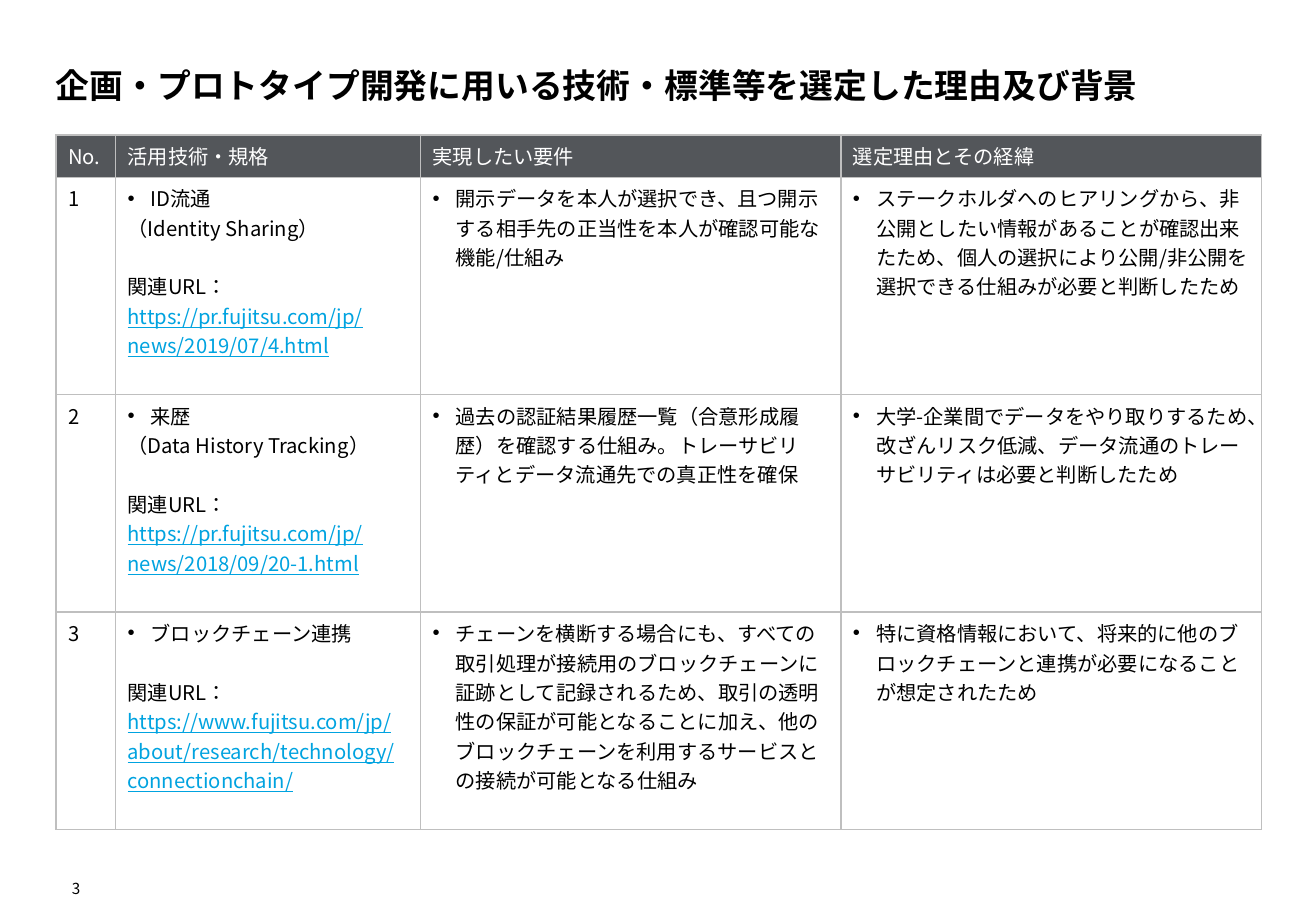
from dataclasses import dataclass
from typing import Any

from lxml.etree import SubElement
from pptx import Presentation
from pptx.dml.color import RGBColor
from pptx.enum.lang import MSO_LANGUAGE_ID
from pptx.enum.text import MSO_ANCHOR, PP_ALIGN
from pptx.oxml.ns import qn
from pptx.util import Inches, Pt

FONT = "Noto Sans CJK JP"
BLACK, WHITE, HEADER_FILL, BORDER, LINK = "000000", "FFFFFF", "53565A", "BFBFBF", "00A3E0"
LINE_PITCH = Pt(17.4)
BULLET_INDENT = Inches(0.19)
COLUMN_WEIGHTS = (49, 251, 346, 346)
ROW_WEIGHTS = (35, 179, 179, 179)


@dataclass(frozen=True)
class Area:
    """A region in percent of the slide's width and height."""
    left: float
    top: float
    width: float
    height: float


@dataclass(frozen=True)
class Line:
    text: str
    color: str = BLACK
    bullet: bool = False
    underline: bool = False
    gap: bool = False


@dataclass(frozen=True)
class Technology:
    name: str
    full_name: str
    url: str
    requirement: str
    reason: str


TITLE_AREA = Area(4.25, 2.67, 91.6, 8.93)
TABLE_AREA = Area(4.25, 14.8, 91.6, 76.27)
NUMBER_AREA = Area(4.25, 96, 1.85, 2.53)

HEADERS = ("No.", "活用技術・規格", "実現したい要件", "選定理由とその経緯")
TECHNOLOGIES = (
    Technology(
        "ID流通", "（Identity Sharing）",
        "https://pr.fujitsu.com/jp/news/2019/07/4.html",
        "開示データを本人が選択でき、且つ開示する相手先の正当性を本人が確認可能な機能/仕組み",
        "ステークホルダへのヒアリングから、非公開としたい情報があることが確認出来たため、"
        "個人の選択により公開/非公開を選択できる仕組みが必要と判断したため"),
    Technology(
        "来歴", "（Data History Tracking）",
        "https://pr.fujitsu.com/jp/news/2018/09/20-1.html",
        "過去の認証結果履歴一覧（合意形成履歴）を確認する仕組み。"
        "トレーサビリティとデータ流通先での真正性を確保",
        "大学-企業間でデータをやり取りするため、改ざんリスク低減、"
        "データ流通のトレーサビリティは必要と判断したため"),
    Technology(
        "ブロックチェーン連携", "",
        "https://www.fujitsu.com/jp/about/research/technology/connectionchain/",
        "チェーンを横断する場合にも、すべての取引処理が接続用のブロックチェーンに"
        "証跡として記録されるため、取引の透明性の保証が可能となることに加え、"
        "他のブロックチェーンを利用するサービスとの接続が可能となる仕組み",
        "特に資格情報において、将来的に他のブロックチェーンと連携が必要になることが想定されたため"),
)


def rgb(color: str) -> RGBColor:
    return RGBColor.from_string(color)


def apply_format(target: Any, values: dict[str, Any]) -> None:
    for name, value in values.items():
        setattr(target, name, value)


def place(presentation: Any, area: Area) -> tuple[int, int, int, int]:
    width, height = presentation.slide_width, presentation.slide_height
    return (round(width * area.left / 100), round(height * area.top / 100),
            round(width * area.width / 100), round(height * area.height / 100))


def add_bullet(paragraph: Any) -> None:
    properties = paragraph._p.get_or_add_pPr()
    properties.set("marL", str(BULLET_INDENT))
    properties.set("indent", str(-BULLET_INDENT))
    SubElement(properties, qn("a:buFont")).set("typeface", "Arial")
    SubElement(properties, qn("a:buChar")).set("char", "•")


def write_line(paragraph: Any, line: Line, size: float, bold: bool = False) -> None:
    if line.gap:
        paragraph.space_before = LINE_PITCH
    if line.bullet:
        add_bullet(paragraph)
    run = paragraph.add_run()
    run.text = line.text
    apply_format(run.font, {"name": FONT, "size": Pt(size), "bold": bold,
                            "underline": line.underline,
                            "language_id": MSO_LANGUAGE_ID.JAPANESE})
    run.font.color.rgb = rgb(line.color)
    SubElement(run._r.get_or_add_rPr(), qn("a:ea")).set("typeface", FONT)


def add_label(presentation: Any, slide: Any, area: Area, text: str, size: float,
              bold: bool, alignment: PP_ALIGN, wrap: bool) -> None:
    frame = slide.shapes.add_textbox(*place(presentation, area)).text_frame
    apply_format(frame, {"margin_left": 0, "margin_right": 0, "margin_top": 0,
                         "margin_bottom": 0, "word_wrap": wrap,
                         "vertical_anchor": MSO_ANCHOR.BOTTOM})
    frame.paragraphs[0].alignment = alignment
    write_line(frame.paragraphs[0], Line(text), size, bold)


def add_borders(cell: Any) -> None:
    properties = cell._tc.get_or_add_tcPr()
    for index, side in enumerate(("lnL", "lnR", "lnT", "lnB")):
        border = properties.makeelement(qn(f"a:{side}"), {"w": str(Pt(1))})
        fill = SubElement(border, qn("a:solidFill"))
        SubElement(fill, qn("a:srgbClr")).set("val", BORDER)
        properties.insert(index, border)


def fill_cell(cell: Any, lines: list[Line], fill: str, anchor: MSO_ANCHOR) -> None:
    cell.fill.solid()
    cell.fill.fore_color.rgb = rgb(fill)
    cell.vertical_anchor = anchor
    add_borders(cell)
    frame = cell.text_frame
    for index, line in enumerate(lines):
        paragraph = frame.add_paragraph() if index else frame.paragraphs[0]
        write_line(paragraph, line, 12)


def technology_cells(number: int, technology: Technology) -> list[list[Line]]:
    names = [Line(technology.name, bullet=True)]
    if technology.full_name:
        names.append(Line(technology.full_name))
    reference = [Line("関連URL：", gap=True), Line(technology.url, LINK, underline=True)]
    return [[Line(str(number))], names + reference,
            [Line(technology.requirement, bullet=True)],
            [Line(technology.reason, bullet=True)]]


def add_technology_table(presentation: Any, slide: Any) -> None:
    left, top, width, height = place(presentation, TABLE_AREA)
    table = slide.shapes.add_table(len(ROW_WEIGHTS), len(COLUMN_WEIGHTS),
                                   left, top, width, height).table
    apply_format(table, {"first_row": False, "horz_banding": False})
    for column, weight in zip(table.columns, COLUMN_WEIGHTS):
        column.width = round(width * weight / sum(COLUMN_WEIGHTS))
    for row, weight in zip(table.rows, ROW_WEIGHTS):
        row.height = round(height * weight / sum(ROW_WEIGHTS))
    for column, header in enumerate(HEADERS):
        fill_cell(table.cell(0, column), [Line(header, WHITE)], HEADER_FILL, MSO_ANCHOR.MIDDLE)
    for number, technology in enumerate(TECHNOLOGIES, start=1):
        for column, lines in enumerate(technology_cells(number, technology)):
            fill_cell(table.cell(number, column), lines, WHITE, MSO_ANCHOR.TOP)


def main() -> None:
    presentation = Presentation()
    apply_format(presentation, {"slide_width": Inches(10.83), "slide_height": Inches(7.5)})
    slide = presentation.slides.add_slide(presentation.slide_layouts[6])
    add_label(presentation, slide, TITLE_AREA,
              "企画・プロトタイプ開発に用いる技術・標準等を選定した理由及び背景",
              20, True, PP_ALIGN.LEFT, True)
    add_technology_table(presentation, slide)
    add_label(presentation, slide, NUMBER_AREA, "3", 9, False, PP_ALIGN.RIGHT, False)
    presentation.save("out.pptx")


if __name__ == "__main__":
    main()
